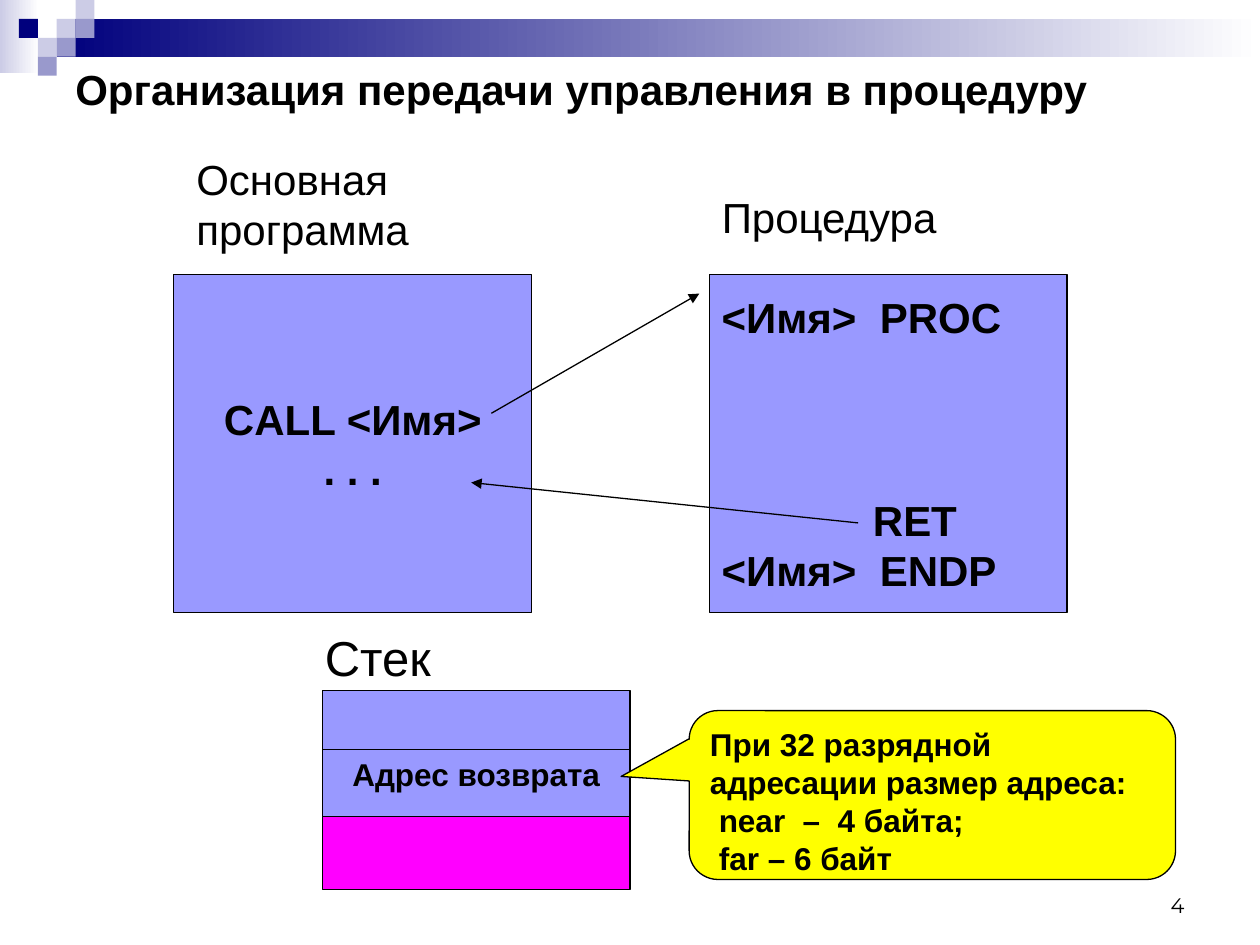
from lxml.etree import SubElement
from pptx import Presentation
from pptx.dml.color import RGBColor
from pptx.enum.shapes import MSO_CONNECTOR, MSO_SHAPE
from pptx.enum.text import MSO_ANCHOR, PP_ALIGN
from pptx.oxml.ns import qn
from pptx.util import Inches, Pt

HEX = {"black": "000000", "white": "FFFFFF", "navy": "00007D",
       "pale": "CCCCE6", "mid": "9999CC", "blue": "9999FF",
       "pink": "FF00FF", "yellow": "FFFF00"}
RGB = {name: RGBColor.from_string(code) for name, code in HEX.items()}

prs = Presentation()
prs.slide_width, prs.slide_height = Inches(10), Inches(7.5)
slide = prs.slides.add_slide(prs.slide_layouts[6])
shapes = slide.shapes


def add_box(kind, at, fill, border=True):
    box = shapes.add_shape(kind, *[Inches(v) for v in at])
    box.shadow.inherit = False
    if isinstance(fill, tuple):
        box.fill.gradient()
        box.fill.gradient_angle = 0
        for stop, name in zip(box.fill.gradient_stops, fill):
            stop.color.rgb = RGB[name]
    else:
        box.fill.solid()
        box.fill.fore_color.rgb = RGB[fill]
    if border:
        box.line.color.rgb = RGB["black"]
        box.line.width = Pt(0.75)
    else:
        box.line.fill.background()
    return box


def add_text(box, lines, size, bold=False, align=PP_ALIGN.LEFT,
             anchor=MSO_ANCHOR.TOP, face="Arial"):
    """Each line is (text, left indent in inches, space before in points)."""
    frame = box.text_frame
    frame.word_wrap = True
    frame.vertical_anchor = anchor
    for i, (text, indent, gap) in enumerate(lines):
        para = frame.paragraphs[0] if i == 0 else frame.add_paragraph()
        para.alignment = align
        if indent:
            para._p.get_or_add_pPr().set("marL", str(Inches(indent)))
        if gap:
            para.space_before = Pt(gap)
        run = para.add_run()
        run.text = text
        run.font.name, run.font.size, run.font.bold = face, Pt(size), bold
        run.font.color.rgb = RGB["black"]


# Banner: two gradient bars and a mosaic of squares
add_box(MSO_SHAPE.RECTANGLE, (0, 0, 0.31, 0.58), ("pale", "white"), False)
add_box(MSO_SHAPE.RECTANGLE, (0.45, 0.15, 9.55, 0.3), ("navy", "white"), False)
side = 0.15
for col, row, fill in [(3, 1, "pale"), (4, 0, "pale"), (4, 1, "mid"),
                       (2, 2, "pale"), (1, 1, "navy"), (3, 2, "mid"),
                       (2, 3, "mid")]:
    add_box(MSO_SHAPE.RECTANGLE, (col * side, row * side, side, side),
            fill, False)

# Page number, title and captions
MID, TOP, LOW = MSO_ANCHOR.MIDDLE, MSO_ANCHOR.TOP, MSO_ANCHOR.BOTTOM
LEFT, RIGHT, MIDST = PP_ALIGN.LEFT, PP_ALIGN.RIGHT, PP_ALIGN.CENTER
for at, text, size, bold, align, anchor, face in [
    ((7.17, 6.83, 2.33, 0.5), "4", 12, False, RIGHT, LOW, "Montserrat"),
    ((0.5, 0.5, 9, 0.41), "Организация передачи управления в процедуру",
     24, True, LEFT, MID, "Arial"),
    ((1.46, 1.17, 2.68, 0.9), "Основная программа",
     24, False, LEFT, TOP, "Arial"),
    ((5.63, 1.47, 2.68, 0.5), "Процедура", 24, False, LEFT, TOP, "Arial"),
    ((2.48, 4.93, 2.68, 0.57), "Стек", 28, False, LEFT, TOP, "Arial"),
]:
    label = shapes.add_textbox(*[Inches(v) for v in at])
    add_text(label, [(text, 0, 0)], size, bold, align, anchor, face)

# Main program and procedure
main = add_box(MSO_SHAPE.RECTANGLE, (1.38, 2.18, 2.84, 2.68), "blue")
add_text(main, [("CALL <Имя>", 0, 0), (". . .", 0, 0)], 24, True, MIDST, MID)
proc = add_box(MSO_SHAPE.RECTANGLE, (5.63, 2.18, 2.84, 2.68), "blue")
add_text(proc, [("<Имя>  PROC", 0, 0), ("RET", 1.2, 87),
                ("<Имя>  ENDP", 0, 0)], 24, True, LEFT, MID)

# Stack: return address above the used part
stack = add_box(MSO_SHAPE.RECTANGLE, (2.56, 5.48, 2.44, 1.02), "blue")
stack.text_frame.margin_top = Inches(0.35)
add_text(stack, [("Адрес возврата", 0, 0)], 18, True, MIDST, MID)
add_box(MSO_SHAPE.RECTANGLE, (2.56, 6.48, 2.44, 0.58), "pink")

# Call arrow, return arrow and stack divider
for ends, arrow in [((3.9, 3.28, 5.55, 2.33), True),
                    ((6.81, 4.15, 3.74, 3.83), True),
                    ((2.56, 5.95, 5, 5.95), False)]:
    link = shapes.add_connector(MSO_CONNECTOR.STRAIGHT,
                                *[Inches(v) for v in ends])
    link.line.color.rgb = RGB["black"]
    link.line.width = Pt(0.75)
    if arrow:
        SubElement(link.line._get_or_add_ln(), qn("a:tailEnd"), type="triangle")
    SubElement(link._element.spPr, qn("a:effectLst"))

# Callout on address size
note = add_box(MSO_SHAPE.ROUNDED_RECTANGULAR_CALLOUT,
               (5.47, 5.64, 3.86, 1.34), "yellow")
for i, value in enumerate((-0.64, -0.11, 0.17)):
    note.adjustments[i] = value
add_text(note, [("При 32 разрядной адресации размер адреса:", 0, 0),
                ("near  –  4 байта;", 0.07, 0),
                ("far – 6 байт", 0.07, 0)], 18, True)

prs.save("out.pptx")
